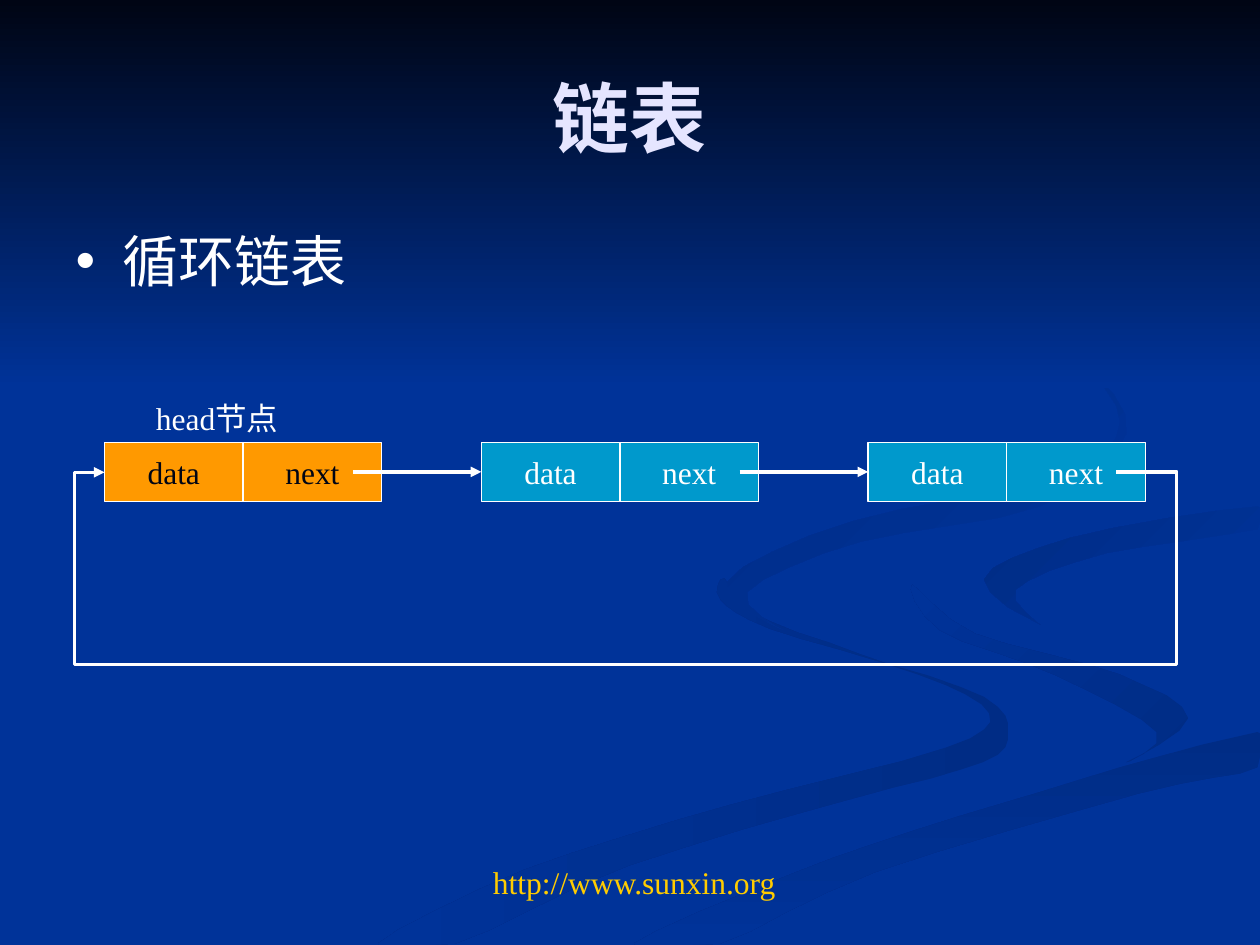
from lxml import etree
from pptx import Presentation
from pptx.dml.color import RGBColor
from pptx.enum import shapes, text
from pptx.oxml.ns import qn
from pptx.util import Pt

FONT = "Times New Roman"
BLUE = RGBColor(0x00, 0x33, 0x99)
NAVY = RGBColor(0x00, 0x2C, 0x85)
NIGHT = RGBColor(0x00, 0x05, 0x14)
LAVENDER = RGBColor(0xE5, 0xE5, 0xFF)
WHITE = RGBColor(0xFF, 0xFF, 0xFF)
GOLD = RGBColor(0xFF, 0xCC, 0x00)
ORANGE = RGBColor(0xFF, 0x99, 0x00)
TEAL = RGBColor(0x00, 0x99, 0xCC)

GRID = Pt(0.72)  # ribbon outlines are set on a grid of 1/100 inch
GRID_RIGHT, GRID_BOTTOM = 1000, 750
# Each ribbon: first colour, last colour, gradient angle, key points
RIBBONS = [
    (NAVY, BLUE, 180, [
        (781, 553), (682, 519), (594, 485), (575, 459), (572, 476), (611, 499),
        (728, 535), (785, 566), (749, 594), (579, 639), (417, 690), (300, 749),
        (361, 749), (499, 687), (676, 634), (780, 605), (800, 581)]),
    (NAVY, BLUE, 135, [
        (943, 570), (888, 535), (774, 503), (724, 464), (746, 500), (838, 536),
        (918, 581), (894, 605)]),
    (NAVY, BLUE, 270, [
        (503, 749), (571, 749), (695, 692), (903, 630), (998, 609), (998, 581),
        (764, 647), (630, 693)]),
    (BLUE, NAVY, 135, [
        (781, 460), (826, 496), (806, 468), (878, 439), (998, 420), (998, 402),
        (849, 427)]),
    (BLUE, NAVY, 135, [
        (683, 430), (825, 402), (894, 344), (854, 283), (762, 233), (846, 279),
        (889, 335), (842, 378), (676, 414), (577, 462), (622, 500), (593, 470)]),
]

CELL_WIDTH, CELL_HEIGHT = 79.2, 33.84
ARROW_LENGTH = 73.4


def place(box, left, top, width, height):
    box.left, box.top, box.width, box.height = map(Pt, (left, top, width, height))


def write(box, words, size, colour, align=text.PP_ALIGN.LEFT, bold=False):
    box.text_frame.text = words
    para = box.text_frame.paragraphs[0]
    para.alignment = align
    para.space_before = Pt(0)
    font = para.font
    font.name, font.size, font.bold = FONT, Pt(size), bold
    font.color.rgb = colour


def smooth_outline(keys, steps=4):
    """Closed Catmull-Rom curve through the key points, kept on the slide."""
    curve = []
    for index, b in enumerate(keys):
        a, c, d = (keys[(index + shift) % len(keys)] for shift in (-1, 1, 2))
        for step in range(steps):
            t = step / steps
            x, y = (
                q + t / 2 * (r - p + t * (2 * p - 5 * q + 4 * r - s
                                          + t * (3 * (q - r) + s - p)))
                for p, q, r, s in zip(a, b, c, d))
            curve.append((min(x, GRID_RIGHT), min(y, GRID_BOTTOM)))
    return curve


def fill_gradient(shape, first, last, angle):
    shape.shadow.inherit = False
    shape.line.fill.background()
    shape.fill.gradient()
    shape.fill.gradient_angle = angle
    for stop, colour in zip(shape.fill.gradient_stops, (first, last)):
        stop.color.rgb = colour


def draw_background(page, width, sky_height):
    page.background.fill.solid()
    page.background.fill.fore_color.rgb = BLUE
    for first, last, angle, keys in RIBBONS:
        outline = smooth_outline(keys)
        builder = page.shapes.build_freeform(*outline[0], scale=GRID)
        builder.add_line_segments(outline[1:], close=True)
        fill_gradient(builder.convert_to_shape(), first, last, angle)
    sky = page.shapes.add_shape(
        shapes.MSO_SHAPE.RECTANGLE, 0, 0, Pt(width), Pt(sky_height))
    fill_gradient(sky, NIGHT, BLUE, 270)


def add_bullet(para):
    properties = para._p.get_or_add_pPr()
    properties.set("marL", str(Pt(27)))
    properties.set("indent", str(Pt(-27)))
    colour = etree.SubElement(properties, qn("a:buClr"))
    etree.SubElement(colour, qn("a:srgbClr"), val=str(GOLD))
    etree.SubElement(properties, qn("a:buSzPct"), val="70000")
    etree.SubElement(properties, qn("a:buChar"), char="■")


def fill_placeholders(page):
    title, body = page.placeholders
    place(title, 36, 21.6, 648, 90)
    place(body, 36, 126, 648, 356.4)
    add_bullet(body.text_frame.paragraphs[0])
    write(title, "链表", 44, LAVENDER, text.PP_ALIGN.CENTER, bold=True)
    write(body, "循环链表", 32, WHITE)
    for box in (title, body):
        box.text_frame.auto_size = text.MSO_AUTO_SIZE.NONE
        page.shapes._spTree.append(box._element)  # in front of the ribbons


def add_label(page, words, left, top, width, height, colour, align):
    label = page.shapes.add_textbox(*map(Pt, (left, top, width, height)))
    label.text_frame.word_wrap = True
    write(label, words, 18, colour, align)


def add_node(page, left, top, fill, ink):
    for column, words in enumerate(("data", "next")):
        cell = page.shapes.add_shape(
            shapes.MSO_SHAPE.RECTANGLE, Pt(left + column * CELL_WIDTH), Pt(top),
            Pt(CELL_WIDTH), Pt(CELL_HEIGHT))
        cell.shadow.inherit = False
        cell.fill.solid()
        cell.fill.fore_color.rgb = fill
        cell.line.color.rgb = WHITE
        cell.line.width = Pt(0.75)
        cell.text_frame.word_wrap = False
        cell.text_frame.vertical_anchor = text.MSO_ANCHOR.MIDDLE
        write(cell, words, 18, ink, text.PP_ALIGN.CENTER)


def add_link(page, kind, start, end, arrow=True):
    link = page.shapes.add_connector(kind, *map(Pt, start + end))
    link.line.color.rgb = WHITE
    link.line.width = Pt(2)
    if arrow:
        etree.SubElement(link.line._get_or_add_ln(), qn("a:tailEnd"), type="triangle")
    etree.SubElement(link._element.spPr, qn("a:effectLst"))
    return link


def add_return_loop(page, start_x, end_x, y, overhang=17.5, drop=108, rise=0.25):
    """Elbow line that leaves to the right, runs below and comes in from the left."""
    loop = add_link(page, shapes.MSO_CONNECTOR.ELBOW, (start_x, y), (end_x, y + rise))
    geometry = loop._element.spPr.find(qn("a:prstGeom"))
    geometry.set("prst", "bentConnector5")
    guides = geometry.find(qn("a:avLst"))
    side = overhang / (start_x - end_x)
    for number, share in enumerate((-side, drop / rise, 1 + side), 1):
        etree.SubElement(guides, qn("a:gd"), name=f"adj{number}",
                         fmla=f"val {round(share * 100000)}")


def draw_linked_list(page, lefts, top):
    middle = top + CELL_HEIGHT / 2
    straight = shapes.MSO_CONNECTOR.STRAIGHT
    for index, left in enumerate(lefts):
        add_node(page, left, top, *((TEAL, WHITE) if index else (ORANGE, NIGHT)))
    for left in lefts[1:]:
        add_link(page, straight, (left - ARROW_LENGTH, middle), (left, middle))
    add_label(page, "head节点", lefts[0] + 22.3, top - 28, 96.5, 50.4, WHITE,
              text.PP_ALIGN.LEFT)
    # Link from the last node back to the head
    end = lefts[-1] + 2 * CELL_WIDTH + 0.7
    add_return_loop(page, end, lefts[0], middle)
    add_link(page, straight, (end, middle), (end - 17.3, middle), arrow=False)


def main():
    deck = Presentation()
    deck.slide_width, deck.slide_height = Pt(720), Pt(540)
    page = deck.slides.add_slide(deck.slide_layouts[1])
    draw_background(page, 720, 221.76)
    fill_placeholders(page)
    draw_linked_list(page, (59.76, 275.04, 496.08), 252.72)
    add_label(page, "http://www.sunxin.org", 127.4, 489.6, 470.2, 28.8, GOLD,
              text.PP_ALIGN.CENTER)
    deck.save("out.pptx")


if __name__ == "__main__":
    main()
